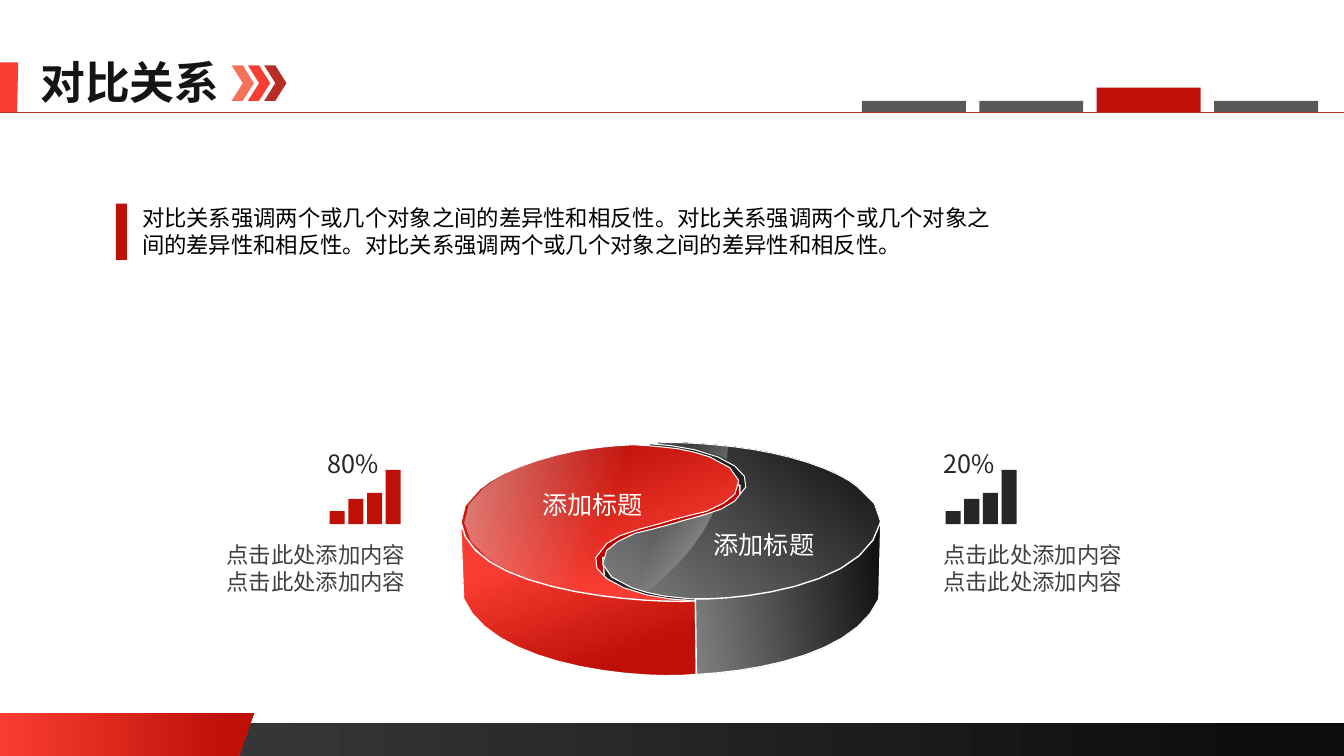
from math import dist

from lxml import etree
from pptx import Presentation
from pptx.dml.color import RGBColor
from pptx.enum.shapes import MSO_CONNECTOR, MSO_SHAPE
from pptx.enum.text import MSO_ANCHOR, PP_ALIGN
from pptx.oxml.ns import qn
from pptx.util import Cm, Pt

FONT = "Noto Sans CJK SC"
WHITE = RGBColor(0xFF, 0xFF, 0xFF)
BLACK = RGBColor(0, 0, 0)
INK = RGBColor(0x14, 0x13, 0x16)
COAL = RGBColor(0x0D, 0x0D, 0x0D)
INNER_DARK = RGBColor(0x20, 0x20, 0x22)
CHARCOAL = RGBColor(0x26, 0x26, 0x26)
DARK_GREY = RGBColor(0x40, 0x40, 0x40)
TAB_GREY = RGBColor(0x59, 0x59, 0x59)
MID_GREY = RGBColor(0x80, 0x80, 0x80)
RED = RGBColor(0xBE, 0x10, 0x07)
INNER_RED = RGBColor(0xC0, 0, 0)
BRIGHT_RED = RGBColor(0xF9, 0x3D, 0x32)
CORAL = RGBColor(0xF5, 0x71, 0x5B)
BRICK = RGBColor(0xB8, 0x2E, 0x24)

PAGE_W, PAGE_H, RULE_Y = 33.87, 19.05, 2.82
DISC_UNIT = Cm(2.54) // 100

# Gradient stops: (position, colour, opacity %)
DARK_FADE = ((0, COAL, 100), (1, MID_GREY, 100))
RED_FADE = ((0.18, RED, 100), (0.75, BRIGHT_RED, 100))
GLOSS_FADE = ((0, WHITE, 50), (0.52, WHITE, 0))

# Outlines: a pair is a corner, six numbers are a Bezier curve
RED_INNER = [(284, 41), (285, 59), (286, 88), (162, 109), (164, 135), (243, 151), (240, 158),
             (196, 157), (174, 146, 152, 146, 130, 126), (134, 73), (239, 61)]
DARK_INNER_FRONT = [(148, 115), (151, 149), (187, 154), (209, 156), (240, 158), (240, 156)]
DARK_INNER_BACK = [(194, 1), (194, 57), (284, 43), (284, 64), (319, 61), (292, 21),
                   (240, 6), (220, 3)]
LOBE = [(401, 45), (430, 65, 431, 93, 405, 113), (387, 129, 350, 143, 310, 151),
        (297, 153, 284, 155, 270, 156), (253, 157), (237, 156), (226, 155),
        (208, 154, 191, 150, 177, 145),
        (152, 136, 141, 121, 152, 108), (157, 102, 167, 96, 180, 91),
        (197, 87, 213, 83, 229, 78), (248, 73, 269, 68, 279, 59),
        (286, 55, 287, 50, 290, 45), (294, 31, 274, 16, 239, 8),
        (216, 4), (193, 2), (212, 0, 237, 1, 257, 3), (312, 7, 364, 21, 393, 39)]
RED_WALL = [(7, 79), (10, 156), (38, 223, 185, 237, 241, 231), (240, 158),
            (193, 161, 15, 150, 7, 79)]
DARK_WALL = [(424, 79), (422, 156), (399, 209, 309, 227, 241, 231), (240, 156),
             (274, 157, 409, 147, 424, 79)]
DARK_GLOSS_LOW = [(258, 69), (256, 74), (243, 101, 221, 126, 193, 148), (191, 149), (177, 145),
                  (152, 135, 142, 120, 152, 108), (157, 101, 167, 95, 180, 91),
                  (197, 87, 213, 82, 229, 77)]
DARK_GLOSS_TOP = [(208, 0), (257, 2), (272, 4), (272, 9), (271, 18), (262, 14),
                  (239, 7), (216, 3), (193, 1)]
RED_GLOSS = [(182, 2), (198, 3), (208, 4), (227, 5, 244, 9, 258, 14),
             (266, 18), (272, 21), (271, 34), (266, 55),
             (262, 65), (255, 68), (238, 72, 222, 76, 206, 81), (187, 86, 165, 91, 156, 100),
             (149, 104, 148, 109, 145, 114), (141, 127, 156, 140, 183, 148), (193, 151),
             (184, 157), (177, 156), (123, 152, 71, 138, 42, 120), (34, 115),
             (5, 94, 3, 66, 30, 46), (48, 31, 84, 16, 125, 9), (137, 6, 150, 4, 164, 3)]


def paint(shape, fill, line_width=None):
    """Fill with a colour or a (clockwise angle, stops) gradient; a line width adds a white outline."""
    shape.shadow.inherit = False
    if isinstance(fill, RGBColor):
        shape.fill.solid()
        shape.fill.fore_color.rgb = fill
    else:
        angle, fade = fill
        shape.fill.gradient()
        shape.fill.gradient_angle = (360 - angle) % 360
        stop_tags = shape._element.spPr.iter(qn("a:gs"))
        for stop, tag, (position, color, opacity) in zip(shape.fill.gradient_stops, stop_tags, fade):
            stop.position, stop.color.rgb = position, color
            if opacity < 100:
                etree.SubElement(tag[0], qn("a:alpha"), val=str(opacity * 1000))
    if line_width is None:
        shape.line.fill.background()
    else:
        shape.line.color.rgb = WHITE
        shape.line.width = Pt(line_width)


def add_block(slide, kind, left, top, width, height, fill):
    block = slide.shapes.add_shape(kind, Cm(left), Cm(top), Cm(width), Cm(height))
    paint(block, fill)


def flatten(outline, unit, chord=20):
    """Turn corners and Bezier curves into points in EMU, about one per chord length."""
    points = [outline[0]]
    for part in outline[1:]:
        if len(part) == 2:
            points.append(part)
            continue
        x0, y0 = points[-1]
        x1, y1, x2, y2, x3, y3 = part
        steps = 1 + int(dist((x0, y0), (x3, y3)) / chord)
        for t in (step / steps for step in range(1, steps + 1)):
            a, b, c, d = (1 - t) ** 3, 3 * t * (1 - t) ** 2, 3 * t * t * (1 - t), t ** 3
            points.append((a * x0 + b * x1 + c * x2 + d * x3, a * y0 + b * y1 + c * y2 + d * y3))
    return [(x * unit, y * unit) for x, y in points]


def add_outline(slide, left, top, outlines, fill, line_width=None, unit=Cm(1)):
    first, *others = (flatten(outline, unit) for outline in outlines)
    builder = slide.shapes.build_freeform(*first[0])
    builder.add_line_segments(first[1:], close=True)
    for points in others:
        builder.move_to(*points[0])
        builder.add_line_segments(points[1:], close=True)
    shape = builder.convert_to_shape(Cm(left), Cm(top))
    paint(shape, fill, line_width)
    return shape


def write(box, left, top, width, height, text, size, color, bold=False):
    box.left, box.top, box.width, box.height = Cm(left), Cm(top), Cm(width), Cm(height)
    frame = box.text_frame
    frame.word_wrap = False
    frame.vertical_anchor = MSO_ANCHOR.TOP
    frame.text = text
    for paragraph in frame.paragraphs:
        paragraph.alignment = PP_ALIGN.LEFT
        paragraph.line_spacing = Pt(size * 1.2)
        for run in paragraph.runs:
            font = run.font
            font.name, font.size, font.bold, font.color.rgb = FONT, Pt(size), bold, color
            etree.SubElement(run._r.get_or_add_rPr(), qn("a:ea"), typeface=FONT)


def add_text(slide, *placing_and_text):
    write(slide.shapes.add_textbox(0, 0, 0, 0), *placing_and_text)


def add_footer(slide, top):
    add_block(slide, MSO_SHAPE.RECTANGLE, 0, top, PAGE_W, PAGE_H - top,
              (0, ((0, DARK_GREY, 100), (0.94, COAL, 100))))
    ribbon = [(0, 0), (6.4, 0), (6.02, 1.09), (0, 1.09)]
    add_outline(slide, 0, top - 0.25, [ribbon], (0, ((0, BRIGHT_RED, 100), (0.91, RED, 100))))


def add_header(slide, rule_y):
    marker = [(0, 0), (0.46, 0), (0.43, 1.27), (0, 1.27)]
    add_outline(slide, 0, rule_y - 1.25, [marker], BRIGHT_RED)
    write(slide.shapes.title, 0.76, rule_y - 1.58, 5.08, 1.63, "对比关系", 32, INK, True)
    rule = slide.shapes.add_connector(MSO_CONNECTOR.STRAIGHT, 0, Cm(rule_y), Cm(PAGE_W), Cm(rule_y))
    rule.line.color.rgb, rule.line.width = BRICK, Pt(0.5)
    etree.SubElement(rule._element.spPr, qn("a:effectLst"))
    for i, color in enumerate((CORAL, BRIGHT_RED, BRICK)):
        add_block(slide, MSO_SHAPE.CHEVRON, 5.84 + i * 0.41, rule_y - 1.17, 0.56, 0.89, color)
    for i in range(4):
        height, color = (0.61, RED) if i == 2 else (0.28, TAB_GREY)
        add_block(slide, MSO_SHAPE.RECTANGLE, 21.72 + i * 2.96, rule_y - height, 2.62, height, color)


def add_disc(slide, left, top):
    layers = [([RED_INNER], INNER_RED, 1), ([DARK_INNER_FRONT], INNER_DARK, 1),
              ([DARK_INNER_BACK], INNER_DARK, 1), ([LOBE], (130, DARK_FADE), 0),
              ([LOBE], (250, RED_FADE), 0), ([RED_WALL], (250, RED_FADE), 1),
              ([DARK_WALL], (170, DARK_FADE), 1),
              ([DARK_GLOSS_LOW, DARK_GLOSS_TOP], (200, GLOSS_FADE), None),
              ([RED_GLOSS], (20, GLOSS_FADE), None)]
    for outlines, fill, line_width in layers:
        part = add_outline(slide, left, top, outlines, fill, line_width, DISC_UNIT)
        if outlines == [LOBE] and fill[1] == RED_FADE:  # half a turn about the disc's centre
            part.left = 2 * Cm(left) + 431 * DISC_UNIT - part.left - part.width
            part.top = 2 * Cm(top) + 160 * DISC_UNIT - part.top - part.height
            part.rotation = 180
    for x, y in ((1.98, 1.07), (6.3, 2.08)):
        add_text(slide, left + x, top + y, 3.07, 1.02, "添加标题", 18, WHITE)


def add_intro(slide, left, top):
    add_text(slide, left + 0.41, top - 0.1, 22.17, 1.63,
             "对比关系强调两个或几个对象之间的差异性和相反性。对比关系强调两个或几个对象之\n"
             "间的差异性和相反性。对比关系强调两个或几个对象之间的差异性和相反性。", 16, BLACK)
    add_block(slide, MSO_SHAPE.RECTANGLE, left, top, 0.28, 1.42, RED)


def add_share(slide, left, top, share, color, caption_shift):
    for i, height in enumerate((0.33, 0.64, 0.79, 1.37)):
        add_block(slide, MSO_SHAPE.RECTANGLE, left + 0.31 + i * 0.47, top + 2.03 - height,
                  0.38, height, color)
    add_text(slide, left, top, 1.83, 1.02, share, 18, CHARCOAL)
    add_text(slide, left + caption_shift, top + 2.34, 5.08, 1.63,
             "点击此处添加内容\n点击此处添加内容", 16, DARK_GREY)


def main():
    deck = Presentation()
    deck.slide_width, deck.slide_height = Cm(PAGE_W), Cm(PAGE_H)
    slide = deck.slides.add_slide(deck.slide_layouts[5])
    add_footer(slide, 18.21)
    add_header(slide, RULE_Y)
    add_disc(slide, 11.43, 11.13)
    add_intro(slide, 2.92, 5.13)
    add_share(slide, 8, 11.18, "80%", RED, -2.54)
    add_share(slide, 23.52, 11.18, "20%", CHARCOAL, 0)
    deck.save("out.pptx")


if __name__ == "__main__":
    main()
